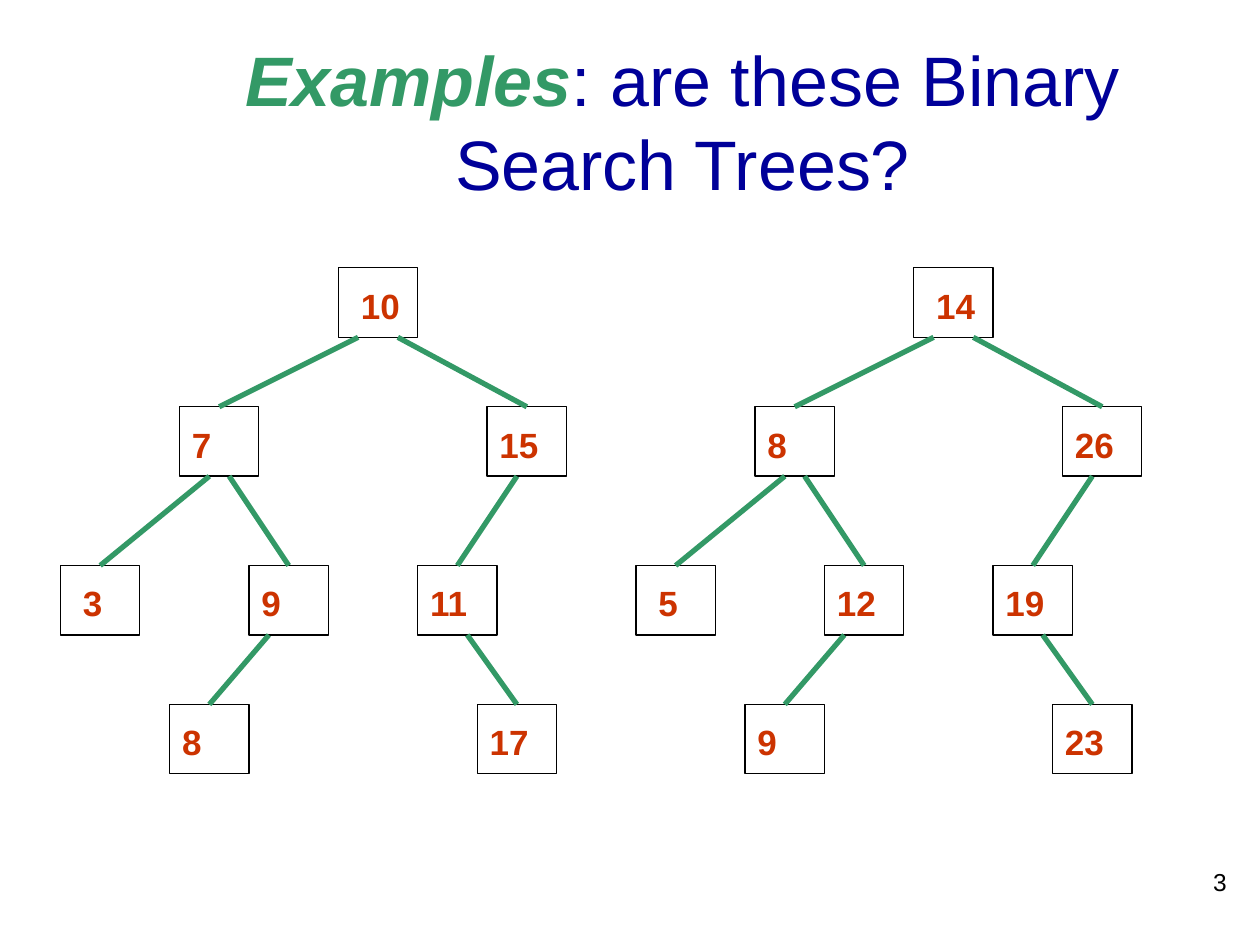
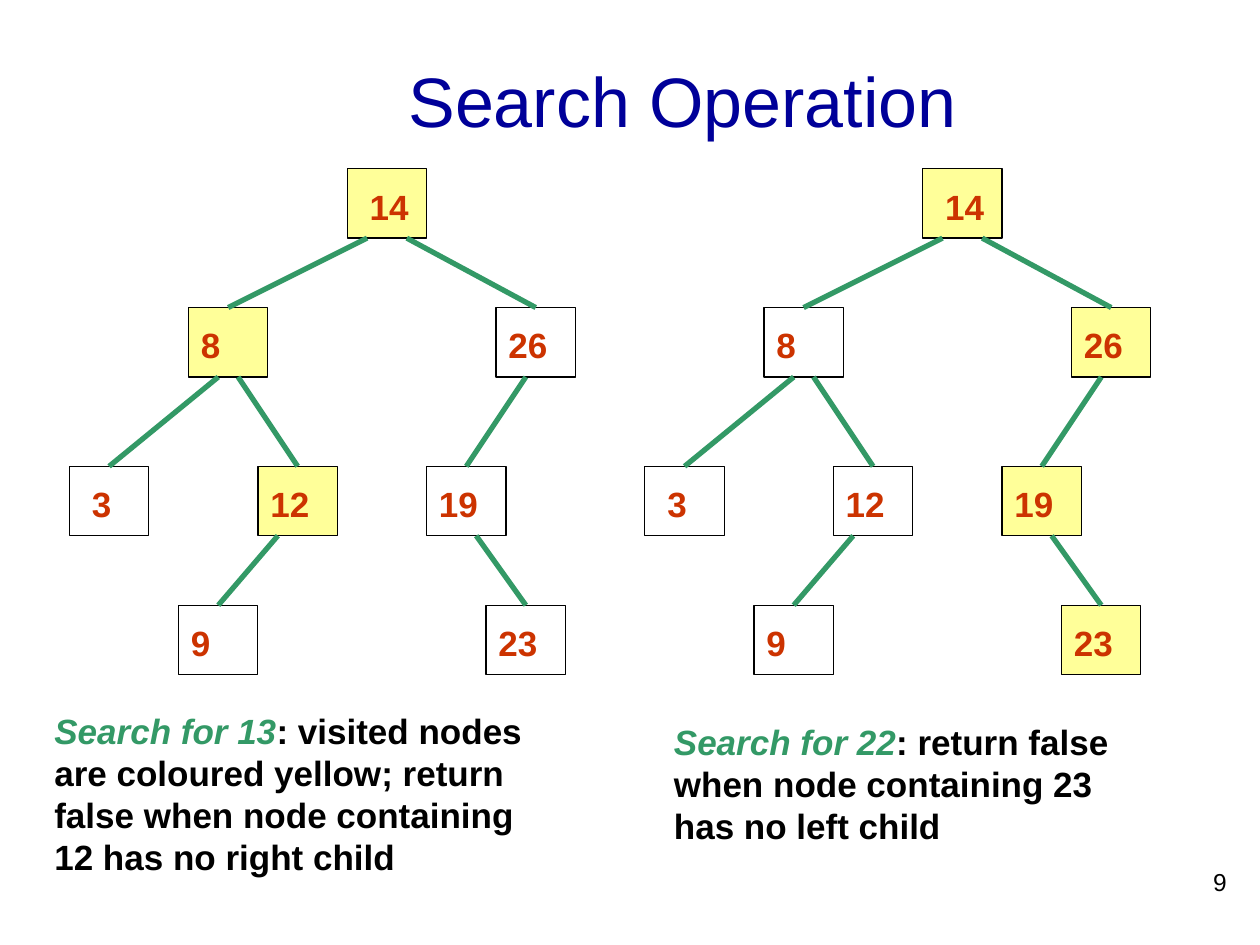
from collections import namedtuple
from dataclasses import dataclass

from pptx import Presentation, util as u
from pptx.dml.color import RGBColor
from pptx.enum import shapes, text
from pptx.oxml.ns import qn
from lxml import etree

GRID = u.Mm(2)  # the slide is 127 columns wide


@dataclass(frozen=True)
class Theme:
    font: str = "Arial"
    title_color: str = "000099"
    accent: str = "339966"
    key_color: str = "CC3300"
    ink: str = "000000"
    visited: str = "FFFF99"
    title_size: int = 40
    body_size: int = 20
    number_size: int = 14
    border: float = 0.75
    branch: float = 3


THEME = Theme()
Box = namedtuple("Box", "left top width height")
Node = namedtuple("Node", "column row indent", defaults=[0])
Branch = namedtuple("Branch", "parent child offset")

NODE_WIDTH, NODE_HEIGHT = 8, 7
TREE_PITCH = 58
# Nodes in level order; every tree has the same outline.
NODES = [
    Node(28, 0, 1),
    Node(12, 14), Node(43, 14),
    Node(0, 30, 1), Node(19, 30), Node(36, 30),
    Node(11, 44), Node(42, 44),
]
# The offset is where a branch leaves the bottom edge of its parent.
BRANCHES = [
    Branch(0, 1, 2), Branch(0, 2, 6),
    Branch(1, 3, 3), Branch(1, 4, 5), Branch(2, 5, 3),
    Branch(4, 6, 2), Branch(5, 7, 5),
]


def cells(*counts):
    """Turn counts of grid cells into slide lengths."""
    return [u.Emu(round(count * GRID)) for count in counts]


def add_span(para, words, size, color, bold=False, italic=False):
    span = para.add_run()
    span.text = words
    font = span.font
    font.name, font.size = THEME.font, u.Pt(size)
    font.bold, font.italic = bold, italic
    font.color.rgb = RGBColor.from_string(color)


def add_text_box(page, box):
    """Add a wrapping text box and return its first paragraph."""
    frame = page.shapes.add_textbox(*cells(*box)).text_frame
    frame.word_wrap = True
    return frame.paragraphs[0]


def add_page(deck, title_height, number):
    """Add a titled page and return it with its empty title paragraph."""
    page = deck.slides.add_slide(deck.slide_layouts[5])
    title = page.shapes.title
    title.left, title.top, title.width, title.height = cells(14.82, 4.23, 107.95, title_height)
    frame = title.text_frame
    frame.word_wrap = True
    frame.auto_size = text.MSO_AUTO_SIZE.NONE
    frame.vertical_anchor = text.MSO_ANCHOR.MIDDLE
    heading = frame.paragraphs[0]
    heading.alignment = text.PP_ALIGN.CENTER

    footer = add_text_box(page, Box(98.43, 86.74, 26.46, 6.35))
    footer.alignment = text.PP_ALIGN.RIGHT
    add_span(footer, str(number), THEME.number_size, THEME.ink)
    return page, heading


def add_node(page, left, top, key, indent, visited):
    shape = page.shapes.add_shape(
        shapes.MSO_SHAPE.RECTANGLE, *cells(left, top, NODE_WIDTH, NODE_HEIGHT))
    shape.shadow.inherit = False
    if visited:
        shape.fill.solid()
        shape.fill.fore_color.rgb = RGBColor.from_string(THEME.visited)
    else:
        shape.fill.background()
    shape.line.color.rgb = RGBColor.from_string(THEME.ink)
    shape.line.width = u.Pt(THEME.border)

    frame = shape.text_frame
    frame.word_wrap = False
    frame.vertical_anchor = text.MSO_ANCHOR.TOP
    frame.margin_left = u.Inches(0.1) + indent * GRID
    frame.margin_right = 0
    frame.margin_top, frame.margin_bottom = u.Inches(0.13), 0
    para = frame.paragraphs[0]
    para.alignment = text.PP_ALIGN.LEFT
    add_span(para, str(key), THEME.body_size, THEME.key_color, bold=True)


def add_branch(page, start, end):
    line = page.shapes.add_connector(
        shapes.MSO_CONNECTOR.STRAIGHT, *cells(*start, *end))
    line.line.color.rgb = RGBColor.from_string(THEME.accent)
    line.line.width = u.Pt(THEME.branch)
    etree.SubElement(line._element.spPr, qn("a:effectLst"))


def add_tree(page, left, top, keys, visited=()):
    """Draw a tree from its keys in level order, colouring the visited ones."""
    for node, key in zip(NODES, keys):
        add_node(page, left + node.column, top + node.row, key, node.indent, key in visited)
    for branch in BRANCHES:
        parent, child = NODES[branch.parent], NODES[branch.child]
        add_branch(
            page,
            (left + parent.column + branch.offset, top + parent.row + NODE_HEIGHT),
            (left + child.column + NODE_WIDTH / 2, top + child.row))


def add_caption(page, box, lead, rest):
    para = add_text_box(page, box)
    add_span(para, lead, THEME.body_size, THEME.accent, bold=True, italic=True)
    add_span(para, rest, THEME.body_size, THEME.ink, bold=True)


def build_examples(deck):
    page, heading = add_page(deck, title_height=15.88, number=3)
    add_span(heading, "Examples", THEME.title_size, THEME.accent, bold=True, italic=True)
    add_span(heading, ": are these Binary Search Trees?", THEME.title_size, THEME.title_color)
    left, top = 6.1, 27
    add_tree(page, left, top, [10, 7, 15, 3, 9, 11, 8, 17])
    add_tree(page, left + TREE_PITCH, top, [14, 8, 26, 5, 12, 19, 9, 23])


def build_search(deck):
    page, heading = add_page(deck, title_height=11.64, number=9)
    add_span(heading, "Search Operation", THEME.title_size, THEME.title_color)
    left, top = 7, 17
    keys = [14, 8, 26, 3, 12, 19, 9, 23]
    add_tree(page, left, top, keys, visited={14, 8, 12})
    add_tree(page, left + TREE_PITCH, top, keys, visited={14, 26, 19, 23})
    add_caption(
        page, Box(4.23, 70.87, 52.92, 18.29), "Search for 13",
        ": visited nodes are coloured yellow; return false when node "
        "containing 12 has no right child")
    add_caption(
        page, Box(66.68, 72.01, 49.02, 13.97), "Search for 22",
        ": return false when node containing 23 has no left child")


def main():
    deck = Presentation()
    deck.slide_width, deck.slide_height = u.Inches(10), u.Inches(7.5)
    build_examples(deck)
    build_search(deck)
    deck.save("out.pptx")


if __name__ == "__main__":
    main()
